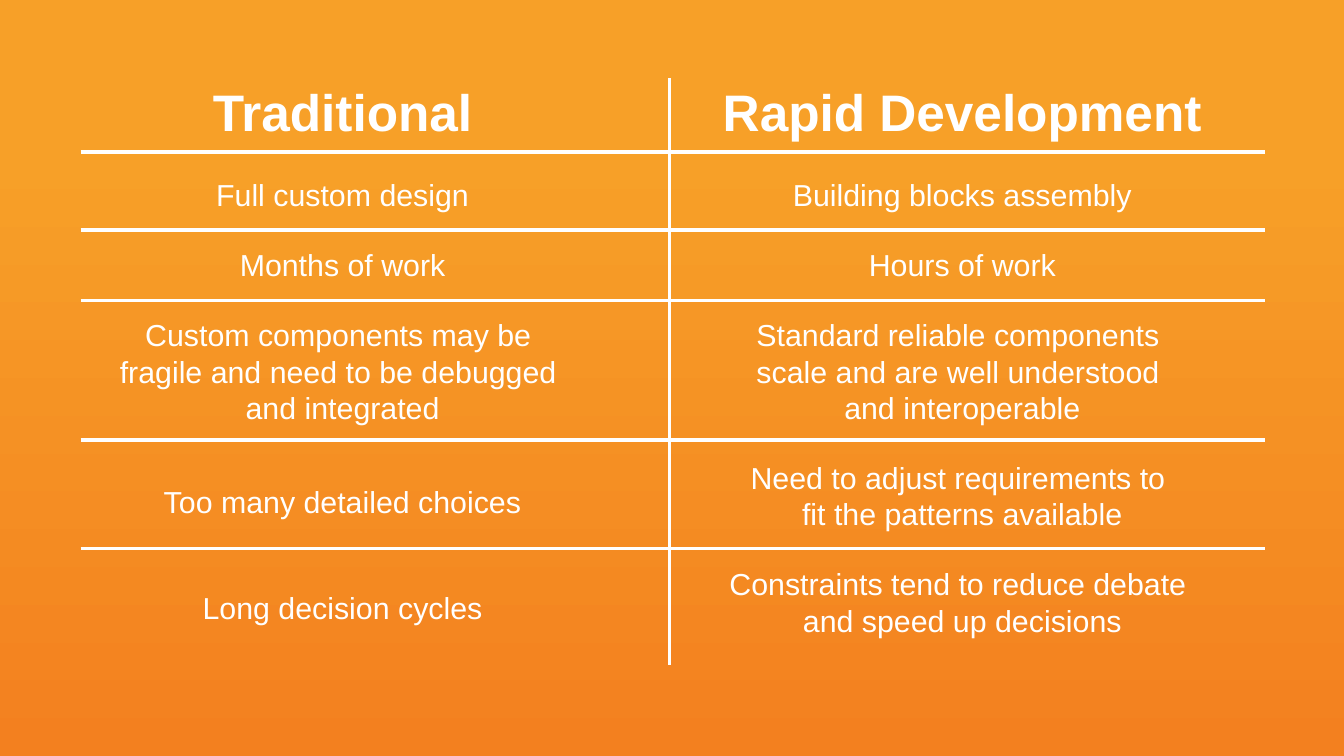
from lxml.etree import SubElement
from pptx import Presentation
from pptx.dml.color import RGBColor
from pptx.enum.shapes import MSO_CONNECTOR
from pptx.enum.text import MSO_AUTO_SIZE, PP_ALIGN
from pptx.oxml.ns import qn
from pptx.util import Cm, Pt

WHITE = "FFFFFF"
HEADING_FORMAT = {"name": "Arial", "size": Pt(44), "bold": True}
ROW_FORMAT = {"name": "Arial", "size": Pt(26)}
ROW_GAP = 28.8
COLUMN_WIDTH = 17.73
RULE_LEFT, RULE_RIGHT = 2.44, 38.25
RULE_TOPS = [4.6, 6.96, 9.09, 13.31, 16.59]
DIVIDER_LEFT = 20.24

COLUMNS = [
    {
        "left": 1.5,
        "heading": "Traditional",
        "heading_width": 8.69,
        "rows": [
            ("Full custom design", 1, 0),
            ("Months of work", 1, ROW_GAP),
            ("Custom components may be \vfragile and need to be debugged \vand integrated", 1, ROW_GAP),
            ("Too many detailed choices", 1.5, 33.6),
            ("Long decision cycles", 2, ROW_GAP),
        ],
    },
    {
        "left": DIVIDER_LEFT,
        "heading": "Rapid Development",
        "heading_width": 15.06,
        "rows": [
            ("Building blocks assembly", 1, 0),
            ("Hours of work", 1, ROW_GAP),
            ("Standard reliable components \vscale and are well understood \vand interoperable", 1, ROW_GAP),
            ("Need to adjust requirements to \vfit the patterns available", 1, ROW_GAP),
            ("Constraints tend to reduce debate \vand speed up decisions", 1, ROW_GAP),
        ],
    },
]


def set_color(color_format, value):
    color_format.rgb = RGBColor.from_string(value)


def paint_background(slide):
    fill = slide.background.fill
    fill.gradient()
    fill.gradient_angle = 270
    for stop, position, color in zip(fill.gradient_stops, (0.2, 1), ("F7A028", "F3801F")):
        stop.position = position
        set_color(stop.color, color)


def fill_paragraph(paragraph, text, font_format):
    paragraph.text = text
    paragraph.alignment = PP_ALIGN.CENTER
    for run in paragraph.runs:
        for name, value in font_format.items():
            setattr(run.font, name, value)
        set_color(run.font.color, WHITE)


def add_heading(slide, column):
    width = column["heading_width"]
    left = column["left"] + (COLUMN_WIDTH - width) / 2
    box = slide.shapes.add_textbox(Cm(left), Cm(2.31), Cm(width), Cm(2.13))
    box.text_frame.word_wrap = False
    box.text_frame.auto_size = MSO_AUTO_SIZE.SHAPE_TO_FIT_TEXT
    fill_paragraph(box.text_frame.paragraphs[0], column["heading"], HEADING_FORMAT)


def add_rows(slide, column):
    box = slide.shapes.add_textbox(Cm(column["left"]), Cm(5.21), Cm(COLUMN_WIDTH), Cm(14.15))
    frame = box.text_frame
    frame.word_wrap = True
    for index, (text, line_spacing, space_before) in enumerate(column["rows"]):
        paragraph = frame.add_paragraph() if index else frame.paragraphs[0]
        fill_paragraph(paragraph, text, ROW_FORMAT)
        paragraph.line_spacing = float(line_spacing)
        paragraph.space_before = Pt(space_before)


def add_line(slide, start_x, start_y, end_x, end_y):
    connector = slide.shapes.add_connector(
        MSO_CONNECTOR.STRAIGHT, Cm(start_x), Cm(start_y), Cm(end_x), Cm(end_y)
    )
    connector.line.width = Pt(3)
    set_color(connector.line.color, WHITE)
    SubElement(connector._element.spPr, qn("a:effectLst"))


def main():
    presentation = Presentation()
    presentation.slide_width = Cm(40.64)
    presentation.slide_height = Cm(22.86)
    slide = presentation.slides.add_slide(presentation.slide_layouts[6])
    paint_background(slide)
    for column in COLUMNS:
        add_rows(slide, column)
        add_heading(slide, column)
    for top in RULE_TOPS:
        add_line(slide, RULE_LEFT, top, RULE_RIGHT, top)
    add_line(slide, DIVIDER_LEFT, 2.36, DIVIDER_LEFT, 20.12)
    presentation.save("out.pptx")


if __name__ == "__main__":
    main()
